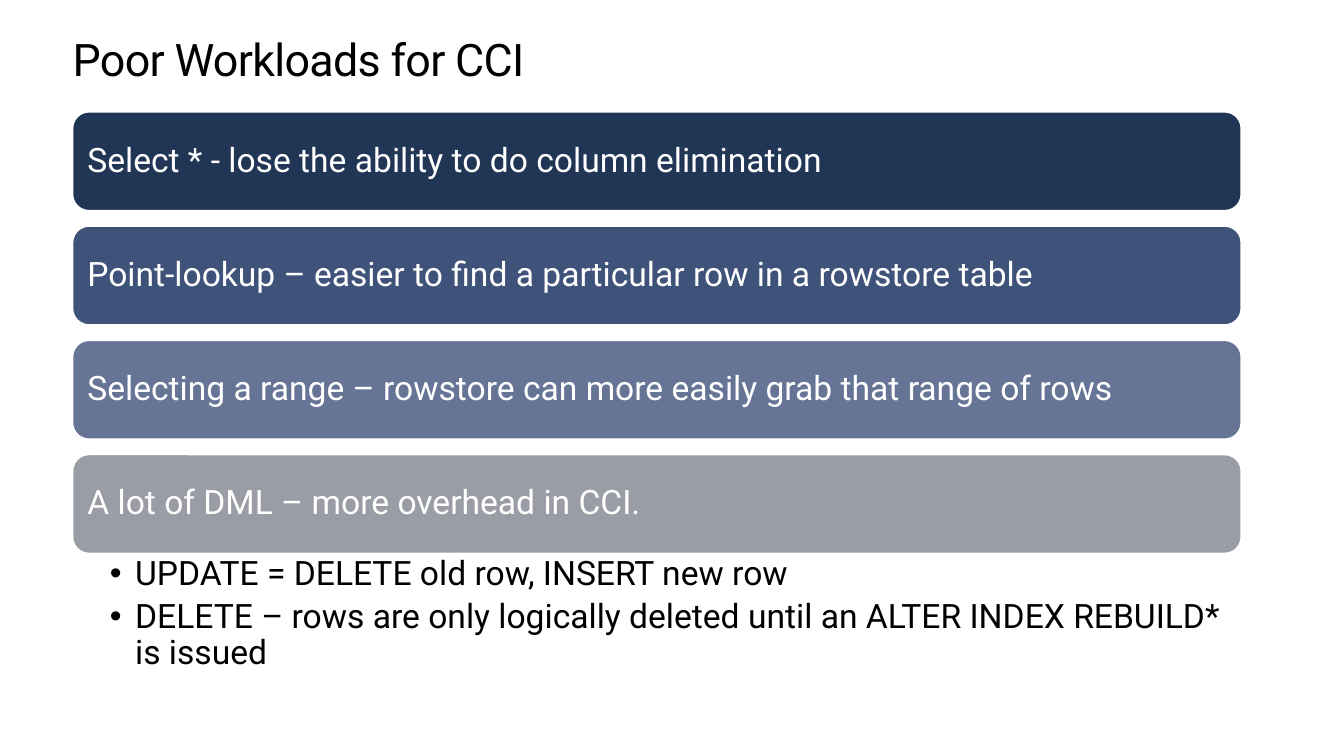
from lxml.etree import SubElement
from pptx import Presentation
from pptx.dml.color import RGBColor
from pptx.enum.shapes import MSO_SHAPE
from pptx.enum.text import MSO_ANCHOR, MSO_AUTO_SIZE, PP_ALIGN
from pptx.oxml.ns import qn
from pptx.util import Inches, Pt

COLORS = {
    "text": "000000",
    "white": "FFFFFF",
    "navy": "213555",
    "blue": "3F537A",
    "slate": "667596",
    "gray": "9A9DA5",
}
FONT = "Roboto"
WORKLOADS = [
    ("Select * - lose the ability to do column elimination", "navy"),
    ("Point-lookup – easier to find a particular row in a rowstore table", "blue"),
    ("Selecting a range – rowstore can more easily grab that range of rows", "slate"),
    ("A lot of DML – more overhead in CCI.", "gray"),
]
DML_COSTS = [
    "UPDATE = DELETE old row, INSERT new row",
    "DELETE – rows are only logically deleted until an ALTER INDEX REBUILD* is issued",
]


def rgb(name):
    """Return the named palette color."""
    return RGBColor.from_string(COLORS[name])


def place(part, left, top, width, height):
    """Move a shape to a box given in inches."""
    part.left, part.top = Inches(left), Inches(top)
    part.width, part.height = Inches(width), Inches(height)


def set_frame(frame, anchor, left=0, top=0, right=0, bottom=0):
    """Set wrapping, anchor and insets of a text frame."""
    frame.word_wrap = True
    frame.auto_size = MSO_AUTO_SIZE.NONE
    frame.vertical_anchor = anchor
    frame.margin_left, frame.margin_top = Inches(left), Inches(top)
    frame.margin_right, frame.margin_bottom = Inches(right), Inches(bottom)


def write(paragraph, text, size, color, line_spacing):
    """Add a left-aligned run of text to a paragraph and return the run."""
    paragraph.alignment = PP_ALIGN.LEFT
    paragraph.line_spacing = line_spacing
    paragraph.space_before = Pt(0)
    run = paragraph.add_run()
    run.text = text
    run.font.name = FONT
    run.font.size = Pt(size)
    run.font.color.rgb = rgb(color)
    return run


def add_heading(slide, left, top, width, height):
    """Fill the title placeholder."""
    heading = slide.shapes.title
    place(heading, left, top, width, height)
    set_frame(heading.text_frame, MSO_ANCHOR.TOP)
    run = write(heading.text_frame.paragraphs[0], "Poor Workloads for CCI",
                32, "text", Pt(36.2))
    run.font._element.set("spc", "-50")


def add_workloads(slide, left, top, width, height):
    """Stack one rounded bar per workload with equal gaps."""
    bar_height = 0.98
    step = (height - bar_height) / (len(WORKLOADS) - 1)
    for index, (workload, color) in enumerate(WORKLOADS):
        bar = slide.shapes.add_shape(
            MSO_SHAPE.ROUNDED_RECTANGLE, Inches(left), Inches(top + index * step),
            Inches(width), Inches(bar_height))
        bar.shadow.inherit = False
        bar.fill.solid()
        bar.fill.fore_color.rgb = rgb(color)
        bar.line.color.rgb = rgb("white")
        bar.line.width = Pt(1)
        set_frame(bar.text_frame, MSO_ANCHOR.MIDDLE, 0.1, 0.1, 0.1, 0.1)
        write(bar.text_frame.paragraphs[0], workload, 24, "white", 0.9)


def add_dml_costs(slide, left, top, width, height):
    """Fill the body placeholder with the bulleted DML costs."""
    costs = slide.placeholders[1]
    place(costs, left, top, width, height)
    frame = costs.text_frame
    set_frame(frame, MSO_ANCHOR.TOP, 0.37, 0.03, 0.19, 0.03)
    for index, cost in enumerate(DML_COSTS):
        paragraph = frame.paragraphs[0] if index == 0 else frame.add_paragraph()
        paragraph.level = 1
        paragraph.space_after = Pt(4.8)
        write(paragraph, cost, 24, "text", 0.9)
        properties = paragraph._p.get_or_add_pPr()
        properties.set("marL", str(Inches(0.25)))
        properties.set("indent", str(Inches(-0.25)))
        SubElement(properties, qn("a:buFont"), typeface="Arial")
        SubElement(properties, qn("a:buChar"), char="•")


def main():
    """Build and save the slide."""
    deck = Presentation()
    deck.slide_width, deck.slide_height = Inches(13.33), Inches(7.5)
    slide = deck.slides.add_slide(deck.slide_layouts[1])
    add_heading(slide, 0.72, 0.35, 11.9, 1.01)
    add_workloads(slide, 0.72, 1.11, 11.59, 4.38)
    add_dml_costs(slide, 0.72, 5.49, 11.59, 1.36)
    deck.save("out.pptx")


if __name__ == "__main__":
    main()
